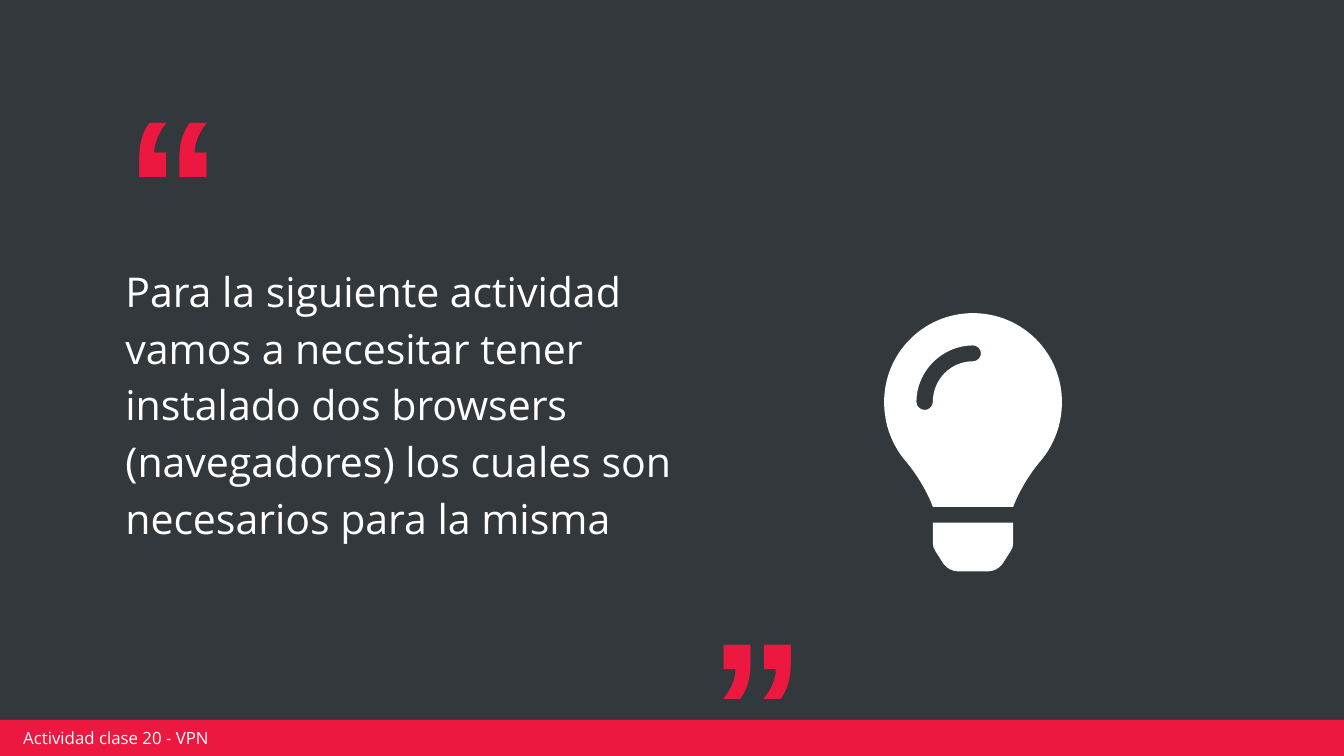
from dataclasses import dataclass

from pptx import Presentation
from pptx.dml.color import RGBColor
from pptx.enum.shapes import MSO_SHAPE
from pptx.enum.text import MSO_ANCHOR, MSO_AUTO_SIZE
from pptx.oxml import parse_xml
from pptx.oxml.ns import nsdecls, qn
from pptx.util import Cm, Pt

SLATE = RGBColor(0x33, 0x38, 0x3C)
RED = RGBColor(0xEC, 0x18, 0x3F)
WHITE = RGBColor(0xFF, 0xFF, 0xFF)
RECTANGLE = MSO_SHAPE.RECTANGLE
TOP, MIDDLE = MSO_ANCHOR.TOP, MSO_ANCHOR.MIDDLE
NO_AUTOFIT = MSO_AUTO_SIZE.NONE

Point = tuple[float, float]
Segment = tuple[Point, ...]


@dataclass
class Contour:
    start: Point
    segments: list[Segment]

    def mirrored(self) -> "Contour":
        ends = [self.start] + [segment[-1] for segment in self.segments]
        other_half = []
        for end, segment in reversed(list(zip(ends, self.segments))):
            points = [*reversed(segment[:-1]), end]
            other_half.append(tuple((-x, y) for x, y in points))
        return Contour(self.start, self.segments + other_half)


@dataclass
class Label:
    text: str
    left: float
    top: float
    width: float
    height: float
    font: str
    size: float
    color: RGBColor
    bold: bool = False
    anchor: MSO_ANCHOR = TOP
    inset: float = 0.25
    top_inset: float = 0.25
    line_spacing: float = 1.0


BULB_CENTER, BULB_TOP = 18.39, 5.92
SOCKET = Contour((0.76, 3.96), [
    ((0.76, 4.34),),
    ((0.76, 4.4), (0.74, 4.46), (0.71, 4.5)),
    ((0.55, 4.75),),
    ((0.48, 4.83), (0.39, 4.88), (0.29, 4.88)),
    ((0, 4.88),),
]).mirrored()
GLASS = Contour((0.76, 3.66), [
    ((0.88, 3.33), (1.12, 2.97), (1.28, 2.79)),
    ((1.53, 2.49), (1.68, 2.11), (1.68, 1.68)),
    ((1.68, 0.75), (0.93, 0), (0, 0)),
]).mirrored()
SHINE = Contour((0, 0.91), [
    ((-0.42, 0.91), (-0.76, 1.25), (-0.76, 1.68)),
    ((-0.76, 1.76), (-0.83, 1.83), (-0.91, 1.83)),
    ((-1, 1.83), (-1.07, 1.76), (-1.07, 1.68)),
    ((-1.07, 1.09), (-0.58, 0.61), (0, 0.61)),
    ((0.08, 0.61), (0.15, 0.68), (0.15, 0.76)),
    ((0.15, 0.84), (0.08, 0.91), (0, 0.91)),
])

QUOTE = Label(
    "Para la siguiente actividad vamos a necesitar tener instalado dos browsers "
    "(navegadores) los cuales son necesarios para la misma",
    2.12, 3.84, 11.91, 8.43, "Open Sans", 22, WHITE,
    top_inset=1.06, line_spacing=1.15,
)
MARKS = [
    Label("\u201c", 2.12, 0.94, 3.02, 2.13, "Arial", 103, RED, bold=True),
    Label("\u201d", 13.16, 10.81, 2.36, 2.13, "Arial", 103, RED, bold=True),
]
FOOTER = Label(
    "Actividad clase 20 - VPN", 0.31, 13.75, 6.07, 0.38, "Open Sans", 9, WHITE,
    anchor=MIDDLE, inset=0.13, top_inset=0.05,
)


def set_values(target, values: dict) -> None:
    for name, value in values.items():
        setattr(target, name, value)


def write_label(box, label: Label) -> None:
    set_values(box, {
        "left": Cm(label.left), "top": Cm(label.top),
        "width": Cm(label.width), "height": Cm(label.height),
    })
    frame = box.text_frame
    set_values(frame, {
        "word_wrap": True, "auto_size": NO_AUTOFIT, "vertical_anchor": label.anchor,
        "margin_left": Cm(label.inset), "margin_right": Cm(label.inset),
        "margin_top": Cm(label.top_inset), "margin_bottom": Cm(0.05),
    })
    para = frame.paragraphs[0]
    set_values(para, {"line_spacing": label.line_spacing, "space_before": Pt(0)})
    span = para.add_run()
    span.text = label.text
    set_values(span.font, {
        "name": label.font, "size": Pt(label.size), "bold": label.bold,
    })
    span.font.color.rgb = label.color


def add_label(page, label: Label) -> None:
    write_label(page.shapes.add_textbox(0, 0, 0, 0), label)


def remove_bullet(para) -> None:
    properties = para._p.get_or_add_pPr()
    for name in ("marL", "indent"):
        properties.set(name, "0")
    properties.append(parse_xml(f"<a:buNone {nsdecls('a')}/>"))


def paint(shape, color: RGBColor) -> None:
    shape.shadow.inherit = False
    shape.fill.solid()
    shape.fill.fore_color.rgb = color
    shape.line.fill.background()


def place(point: Point) -> tuple[int, int]:
    return Cm(BULB_CENTER + point[0]), Cm(BULB_TOP + point[1])


def bend_segments(shape, segments: list[Segment]) -> None:
    lines = iter(list(shape.element.iter(qn("a:lnTo"))))
    for segment in segments:
        group = [next(lines) for _ in segment]
        if len(group) == 3:
            curve = parse_xml(f"<a:cubicBezTo {nsdecls('a')}/>")
            group[0].addprevious(curve)
            for line in group:
                curve.append(line[0])
                line.getparent().remove(line)


def add_bulb(page) -> None:
    contours = [SOCKET, GLASS, SHINE]
    builder = page.shapes.build_freeform(*place(SOCKET.start), scale=1.0)
    for contour in contours:
        if contour is not SOCKET:
            builder.move_to(*place(contour.start))
        points = [place(point) for segment in contour.segments for point in segment]
        builder.add_line_segments(points, close=True)
    bulb = builder.convert_to_shape()
    bend_segments(bulb, [part for contour in contours for part in contour.segments])
    paint(bulb, WHITE)


def main() -> None:
    deck = Presentation()
    set_values(deck, {"slide_width": Cm(25.4), "slide_height": Cm(14.29)})
    page = deck.slides.add_slide(deck.slide_layouts[1])
    page.background.fill.solid()
    page.background.fill.fore_color.rgb = SLATE

    title, body = page.placeholders
    title.element.getparent().remove(title.element)
    write_label(body, QUOTE)
    remove_bullet(body.text_frame.paragraphs[0])

    for mark in MARKS:
        add_label(page, mark)
    add_bulb(page)
    bar = page.shapes.add_shape(RECTANGLE, Cm(-0.05), Cm(13.61), Cm(25.48), Cm(0.69))
    paint(bar, RED)
    add_label(page, FOOTER)
    deck.save("out.pptx")


main()
